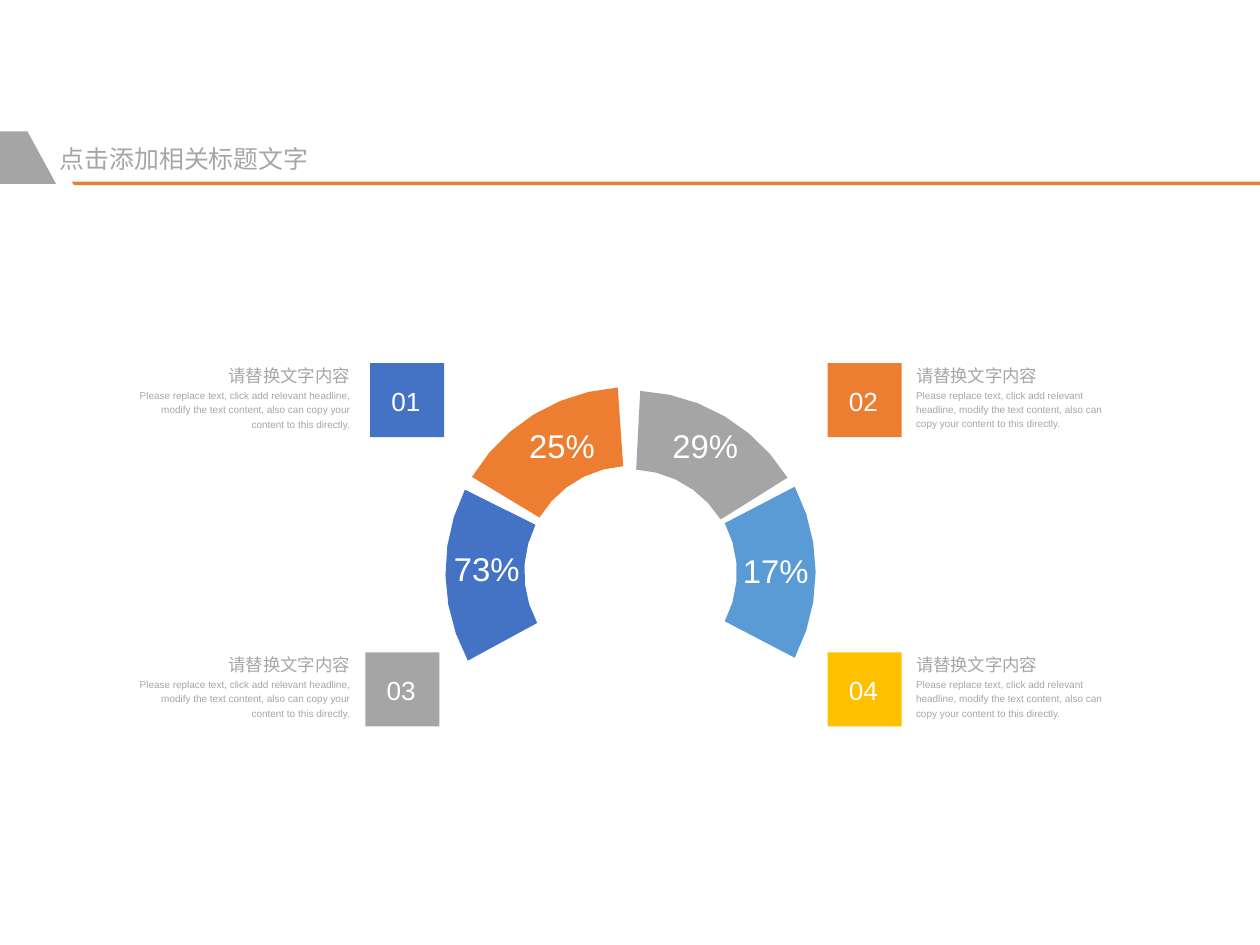
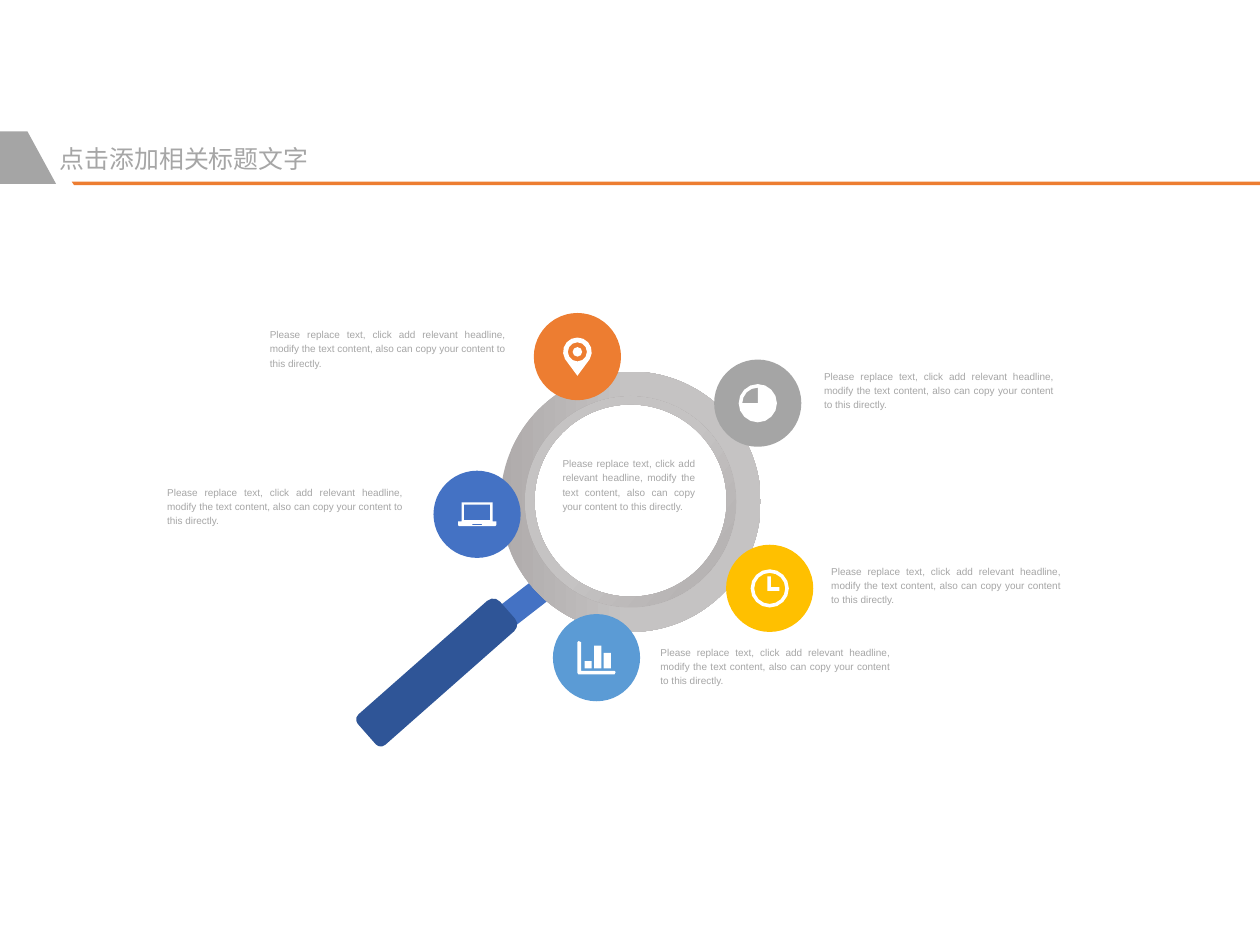
from dataclasses import dataclass
from math import cos, radians, sin

from pptx import Presentation
from pptx.dml.color import RGBColor
from pptx.enum.shapes import MSO_SHAPE
from pptx.enum.text import MSO_ANCHOR, MSO_AUTO_SIZE, PP_ALIGN
from pptx.util import Inches, Pt

Point = tuple[float, float]
Contour = list[Point]

COLORS = {
    "blue": "4472C4",
    "navy": "2F5597",
    "orange": "ED7D31",
    "gray": "A5A5A5",
    "gold": "FFC000",
    "sky": "5B9BD5",
    "text": "A6A6A6",
    "white": "FFFFFF",
    "ring_dark": "AFABAB",
    "ring_light": "C5C3C3",
}
FONT = "Arial"
TITLE = "点击添加相关标题文字"
HEADLINE = "请替换文字内容"
BODY = (
    "Please replace text, click add relevant headline, modify the text content, "
    "also can copy your content to this directly."
)
OUTER_RADIUS, INNER_RADIUS = 1.55, 0.89
SQUARE_SIDE = 0.62
BADGE_SIZE = 0.73


@dataclass
class Segment:
    label: str
    color: str
    center: Point
    start: float
    end: float
    label_at: Point


@dataclass
class Column:
    headline_left: float
    headline_width: float
    body_left: float
    body_width: float
    body_height: float
    align: PP_ALIGN


@dataclass
class Card:
    number: str
    color: str
    top: float
    square_left: float
    column: Column


@dataclass
class Badge:
    color: str
    left: float
    top: float
    icon: list[Contour]
    note_left: float
    note_top: float
    note_width: float


@dataclass
class Ring:
    left: float
    top: float
    size: float
    thickness: float
    angle: float


def rgb(name: str) -> RGBColor:
    return RGBColor.from_string(COLORS[name])


def arc(center: Point, radius: float, start: float, end: float, steps: int) -> Contour:
    angles = [radians(start + (end - start) * step / steps) for step in range(steps + 1)]
    return [(center[0] + radius * cos(a), center[1] - radius * sin(a)) for a in angles]


def circle(center: Point, radius: float, steps: int = 16) -> Contour:
    return arc(center, radius, 0, 360, steps)[:-1]


def rectangle(left: float, top: float, right: float, bottom: float) -> Contour:
    return [(left, top), (right, top), (right, bottom), (left, bottom)]


def finish(shape, color: str | None) -> None:
    shape.shadow.inherit = False
    shape.line.fill.background()
    if color is None:
        shape.fill.background()
    else:
        shape.fill.solid()
        shape.fill.fore_color.rgb = rgb(color)


def add_outline(slide, contours: list[Contour], color: str | None, origin: Point = (0, 0)):
    builder = None
    for contour in contours:
        points = [(Inches(x + origin[0]), Inches(y + origin[1])) for x, y in contour]
        if builder is None:
            builder = slide.shapes.build_freeform(*points[0])
        else:
            builder.move_to(*points[0])
        builder.add_line_segments(points[1:], close=True)
    shape = builder.convert_to_shape()
    finish(shape, color)
    return shape


def add_preset(slide, kind: MSO_SHAPE, left: float, top: float, width: float, height: float, color: str):
    shape = slide.shapes.add_shape(kind, Inches(left), Inches(top), Inches(width), Inches(height))
    finish(shape, color)
    return shape


def write(frame, text: str, size: float, color: str, align: PP_ALIGN,
          anchor: MSO_ANCHOR = MSO_ANCHOR.TOP, spacing: float = 1.2) -> None:
    frame.word_wrap = True
    frame.auto_size = MSO_AUTO_SIZE.NONE
    frame.margin_left = frame.margin_right = frame.margin_top = frame.margin_bottom = 0
    frame.vertical_anchor = anchor
    frame.text = text
    para = frame.paragraphs[0]
    para.alignment = align
    para.line_spacing = spacing
    para.font.name = FONT
    para.font.size = Pt(size)
    para.font.color.rgb = rgb(color)


def add_text(slide, left: float, top: float, width: float, height: float, text: str, size: float,
             color: str, align: PP_ALIGN, anchor: MSO_ANCHOR = MSO_ANCHOR.TOP) -> None:
    box = slide.shapes.add_textbox(Inches(left), Inches(top), Inches(width), Inches(height))
    write(box.text_frame, text, size, color, align, anchor)


def add_note(slide, left: float, top: float, width: float, height: float, align: PP_ALIGN) -> None:
    add_text(slide, left, top, width, height, BODY, 6, "text", align)


def add_page(deck):
    slide = deck.slides.add_slide(deck.slide_layouts[5])
    title = slide.shapes.title
    title.left, title.top, title.width, title.height = map(Inches, (0.5, 1.2, 2.52, 0.25))
    write(title.text_frame, TITLE, 15, "text", PP_ALIGN.LEFT, MSO_ANCHOR.MIDDLE, 1.0)
    add_outline(slide, [[(0.6, 1.52), (10.55, 1.52), (10.55, 1.55), (0.62, 1.55)]], "orange")
    add_outline(slide, [[(0, 1.1), (0.23, 1.1), (0.47, 1.54), (0, 1.54)]], "gray")
    return slide


def add_segment(slide, segment: Segment) -> None:
    outer = arc(segment.center, OUTER_RADIUS, segment.start, segment.end, 6)
    inner = arc(segment.center, INNER_RADIUS, segment.end, segment.start, 5)
    add_outline(slide, [outer + inner], segment.color)


def add_label(slide, segment: Segment) -> None:
    label = add_outline(slide, [rectangle(0, 0, 0.69, 0.26)], None, segment.label_at)
    write(label.text_frame, segment.label, 19.8, "white", PP_ALIGN.CENTER, MSO_ANCHOR.BOTTOM)


def add_card(slide, card: Card) -> None:
    column = card.column
    add_text(slide, column.headline_left, card.top, column.headline_width, 0.29, HEADLINE, 10.5,
             "text", column.align, MSO_ANCHOR.MIDDLE)
    add_note(slide, column.body_left, card.top + 0.26, column.body_width, column.body_height,
             column.align)
    add_preset(slide, MSO_SHAPE.RECTANGLE, card.square_left, card.top + 0.06,
               SQUARE_SIDE, SQUARE_SIDE, card.color)
    add_text(slide, card.square_left + 0.05, card.top + 0.14, 0.5, 0.42, card.number, 15.8,
             "white", PP_ALIGN.CENTER, MSO_ANCHOR.MIDDLE)


def add_ring(slide, ring: Ring) -> None:
    shape = add_preset(slide, MSO_SHAPE.DONUT, ring.left, ring.top, ring.size, ring.size, "ring_light")
    shape.adjustments[0] = ring.thickness
    shape.fill.gradient()
    shape.fill.gradient_angle = ring.angle
    stops = zip(shape.fill.gradient_stops, ("ring_dark", "ring_light"), (0, 0.5))
    for stop, color, position in stops:
        stop.color.rgb = rgb(color)
        stop.position = position


def add_badge(slide, badge: Badge) -> None:
    add_preset(slide, MSO_SHAPE.OVAL, badge.left, badge.top, BADGE_SIZE, BADGE_SIZE, badge.color)
    center = (badge.left + BADGE_SIZE / 2, badge.top + BADGE_SIZE / 2)
    add_outline(slide, badge.icon, "white", center)
    add_note(slide, badge.note_left, badge.note_top, badge.note_width, 0.35, PP_ALIGN.JUSTIFY)


CHART_ICON = [
    [(-0.16, -0.13), (-0.15, -0.14), (-0.13, -0.13), (-0.13, 0.11),
     (0.15, 0.11), (0.16, 0.12), (0.15, 0.14), (-0.15, 0.14), (-0.16, 0.13)],
] + [
    rectangle(-0.1 + 0.08 * column, top, -0.04 + 0.08 * column, 0.09)
    for column, top in enumerate((0.03, -0.1, -0.04))
]
PIE_ICON = [circle((0, 0), 0.16), [(0, 0)] + arc((0, 0), 0.13, 180, 90, 4)]
CLOCK_ICON = [
    circle((0, 0), 0.16),
    circle((0, 0), 0.13),
    [(-0.02, -0.1), (0.01, -0.1), (0.01, -0.01), (0.08, -0.01), (0.08, 0.02), (-0.02, 0.02)],
]
PIN_ICON = [
    arc((0, -0.04), 0.12, -30, 210, 10) + [(0, 0.16)],
    circle((0, -0.04), 0.08, 12),
    circle((0, -0.04), 0.04, 8),
]
LAPTOP_ICON = [
    [(-0.13, -0.1), (0.13, -0.1), (0.13, 0.06), (0.16, 0.06), (0.16, 0.09),
     (0.15, 0.1), (-0.15, 0.1), (-0.16, 0.09), (-0.16, 0.06), (-0.13, 0.06)],
    rectangle(-0.11, -0.08, 0.11, 0.05),
    rectangle(-0.04, 0.08, 0.04, 0.09),
]
NECK = [
    (3.12, 6.09), (3.12, 5.96), (4.41, 4.83), (4.49, 4.8), (4.56, 4.84),
    (4.56, 4.98), (3.28, 6.11), (3.17, 6.13),
]

SEGMENTS = [
    Segment("25%", "orange", (5.28, 4.79), 149, 94, (4.36, 3.63)),
    Segment("29%", "gray", (5.28, 4.82), 87, 32, (5.56, 3.63)),
    Segment("17%", "sky", (5.28, 4.79), 27.5, -27.5, (6.15, 4.68)),
    Segment("73%", "blue", (5.28, 4.79), 208.5, 153.5, (3.73, 4.66)),
]
LEFT_COLUMN = Column(1.81, 1.12, 1.16, 1.77, 0.52, PP_ALIGN.RIGHT)
RIGHT_COLUMN = Column(7.67, 1.15, 7.67, 1.68, 0.5, PP_ALIGN.LEFT)
CARDS = [
    Card("01", "blue", 2.98, 3.1, LEFT_COLUMN),
    Card("02", "orange", 2.98, 6.93, RIGHT_COLUMN),
    Card("03", "gray", 5.4, 3.06, LEFT_COLUMN),
    Card("04", "gold", 5.4, 6.93, RIGHT_COLUMN),
]
RINGS = [Ring(4.34, 3.25, 1.88, 0.072, 140), Ring(4.19, 3.11, 2.18, 0.093, 0)]
BADGES = [
    Badge("sky", 4.63, 5.14, CHART_ICON, 5.53, 5.39, 1.92),
    Badge("gray", 5.98, 3.01, PIE_ICON, 6.9, 3.08, 1.92),
    Badge("gold", 6.08, 4.56, CLOCK_ICON, 6.96, 4.71, 1.92),
    Badge("orange", 4.47, 2.62, PIN_ICON, 2.26, 2.73, 1.97),
    Badge("blue", 3.63, 3.94, LAPTOP_ICON, 1.4, 4.05, 1.97),
]


def build_arc_page(deck) -> None:
    slide = add_page(deck)
    for segment in SEGMENTS:
        add_segment(slide, segment)
    for segment in SEGMENTS:
        add_label(slide, segment)
    for card in CARDS:
        add_card(slide, card)


def build_magnifier_page(deck) -> None:
    slide = add_page(deck)
    neck = add_outline(slide, [NECK], "blue")
    neck.rotation = 3.6
    handle = add_preset(slide, MSO_SHAPE.ROUND_2_SAME_RECTANGLE, 3.49, 4.84, 0.34, 1.57, "navy")
    handle.rotation = 228.6
    handle.adjustments[0], handle.adjustments[1] = 0.167, 0.22
    for ring in RINGS:
        add_ring(slide, ring)
    for badge in BADGES:
        add_badge(slide, badge)
    add_note(slide, 4.71, 3.81, 1.11, 0.47, PP_ALIGN.JUSTIFY)


def main() -> None:
    deck = Presentation()
    deck.slide_width, deck.slide_height = Inches(10.55), Inches(7.91)
    build_arc_page(deck)
    build_magnifier_page(deck)
    deck.save("out.pptx")


if __name__ == "__main__":
    main()
